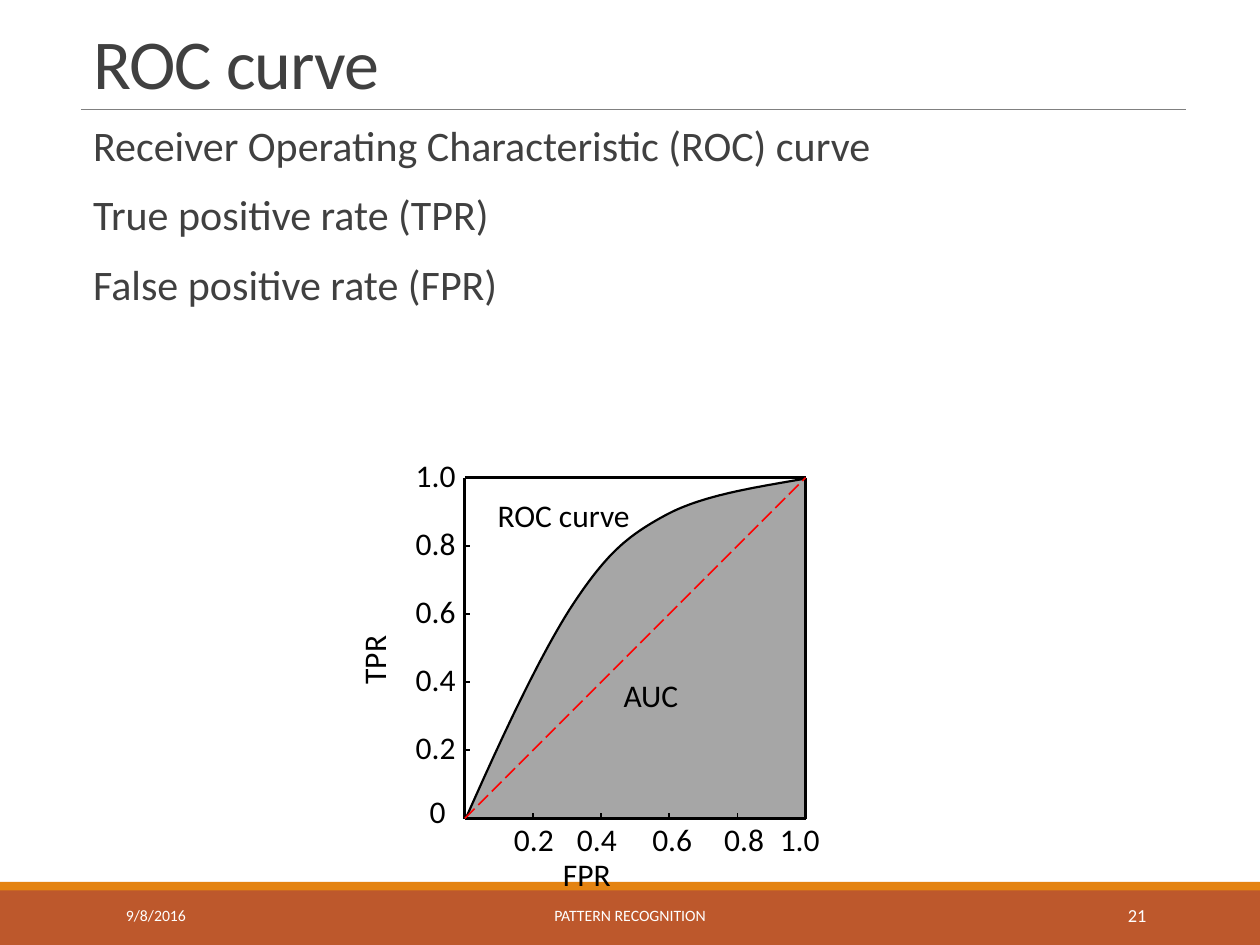
"""Build the ROC curve slide of a pattern recognition lecture."""
from dataclasses import dataclass

from lxml.etree import SubElement
from pptx import Presentation
from pptx.dml.color import RGBColor
from pptx.enum.dml import MSO_LINE
from pptx.enum.shapes import MSO_CONNECTOR, MSO_SHAPE
from pptx.enum.text import MSO_ANCHOR, PP_ALIGN
from pptx.oxml.ns import qn
from pptx.util import Cm, Pt


@dataclass(frozen=True)
class Theme:
    font: str = "Calibri"
    heading: str = "404040"
    ink: str = "000000"
    light: str = "FFFFFF"
    band: str = "BD582C"
    stripe: str = "E48312"
    rule: str = "808080"
    area: str = "A6A6A6"
    chance: str = "FF0000"
    title_size: float = 40
    body_size: float = 24
    label_size: float = 18
    number_size: float = 10.5
    footer_size: float = 9


class SlideBuilder:
    def __init__(self, slide, theme):
        self.slide = slide
        self.theme = theme

    def paint(self, shape, fill, line=None, width=1.0):
        shape.shadow.inherit = False
        shape.fill.solid()
        shape.fill.fore_color.rgb = RGBColor.from_string(fill)
        if line:
            shape.line.color.rgb = RGBColor.from_string(line)
            shape.line.width = Pt(width)
        else:
            shape.line.fill.background()

    def shape(self, kind, left, top, width, height, fill, rotation=0):
        shape = self.slide.shapes.add_shape(kind, Cm(left), Cm(top), Cm(width), Cm(height))
        shape.rotation = rotation
        self.paint(shape, fill)

    def line(self, start, end, color, width, dash=None):
        connector = self.slide.shapes.add_connector(
            MSO_CONNECTOR.STRAIGHT, *(Cm(value) for value in (*start, *end)))
        connector.line.color.rgb = RGBColor.from_string(color)
        connector.line.width = Pt(width)
        if dash:
            connector.line.dash_style = dash
        SubElement(connector._element.spPr, qn("a:effectLst"))

    def curve(self, start, segments, fill, line, width, steps=24):
        points = []
        current = start
        for segment in segments:
            controls = (current, *segment)
            for step in range(1, steps + 1):
                t = step / steps
                weights = ((1 - t) ** 3, 3 * t * (1 - t) ** 2, 3 * t ** 2 * (1 - t), t ** 3)
                points.append(tuple(
                    Cm(sum(weight * point[axis] for weight, point in zip(weights, controls)))
                    for axis in (0, 1)))
            current = segment[-1]
        builder = self.slide.shapes.build_freeform(Cm(start[0]), Cm(start[1]))
        builder.add_line_segments(points, close=False)
        self.paint(builder.convert_to_shape(), fill, line, width)

    def text(self, lines, left, top, width, height, size, color, align=PP_ALIGN.LEFT,
             anchor=MSO_ANCHOR.TOP, leading=1.0, before=0, after=0, tracking=0,
             rotation=0, wrap=True):
        box = self.slide.shapes.add_textbox(Cm(left), Cm(top), Cm(width), Cm(height))
        box.rotation = rotation
        frame = box.text_frame
        frame.word_wrap = wrap
        frame.vertical_anchor = anchor
        frame.text = lines
        for index, paragraph in enumerate(frame.paragraphs):
            paragraph.alignment = align
            paragraph.line_spacing = leading
            paragraph.space_before = Pt(before if index else 0)
            paragraph.space_after = Pt(after)
            for run in paragraph.runs:
                run.font.name = self.theme.font
                run.font.size = Pt(size)
                run.font.color.rgb = RGBColor.from_string(color)
                if tracking:
                    run._r.get_or_add_rPr().set("spc", str(int(tracking * 100)))

    def label(self, words, left, top, width=1.68, rotation=0, wrap=True):
        self.text(words, left, top, width, 1.02, self.theme.label_size, self.theme.ink,
                  rotation=rotation, wrap=wrap)


def add_frame(builder):
    theme = builder.theme
    builder.shape(MSO_SHAPE.RECTANGLE, 0, 17.94, 25.4, 1.11, theme.band)
    builder.shape(MSO_SHAPE.RECTANGLE, 0, 17.78, 25.4, 0.17, theme.stripe)
    builder.line((1.63, 2.21), (23.9, 2.21), theme.rule, 0.5)
    builder.text("ROC curve", 1.63, 0.33, 22.28, 1.88, theme.title_size, theme.heading,
                 anchor=MSO_ANCHOR.BOTTOM, leading=0.85, tracking=-0.5)
    builder.text("Receiver Operating Characteristic (ROC) curve\n"
                 "True positive rate (TPR)\n"
                 "False positive rate (FPR)",
                 1.63, 2.39, 22.28, 15.11, theme.body_size, theme.heading,
                 leading=0.9, before=12, after=2)
    footers = (
        ("9/8/2016", 2.29, 5.16, theme.footer_size, PP_ALIGN.LEFT),
        ("PATTERN RECOGNITION", 7.67, 10.06, theme.footer_size, PP_ALIGN.CENTER),
        ("21", 20.62, 2.74, theme.number_size, PP_ALIGN.RIGHT),
    )
    for words, left, width, size, align in footers:
        builder.text(words, left, 17.94, width, 1.02, size, theme.light, align,
                     MSO_ANCHOR.MIDDLE)


def add_roc_plot(builder):
    theme = builder.theme
    left, top, side, tick = 9.37, 9.63, 6.87, 0.11
    right, bottom = left + side, top + side

    builder.shape(MSO_SHAPE.RIGHT_TRIANGLE, left, top, side, side, theme.area, rotation=270)
    builder.curve((9.4, 16.48), (
        ((10.13, 14.83), (10.9, 13.18), (11.56, 12.17)),
        ((12.22, 11.18), (12.62, 10.82), (13.41, 10.39)),
        ((14.17, 9.98), (15.21, 9.83), (16.23, 9.65)),
    ), theme.area, theme.ink, 1.25)

    corners = ((left, bottom), (left, top), (right, top), (right, bottom))
    for start, end in zip(corners, corners[1:] + corners[:1]):
        builder.line(start, end, theme.ink, 1.5)

    label_lefts = (10.11, 11.38, 12.9, 14.35, 15.47)
    for index, label_left in enumerate(label_lefts, 1):
        offset = side * index / len(label_lefts)
        value = f"{index / len(label_lefts):.1f}"
        builder.line((left, bottom - offset), (left + tick, bottom - offset), theme.ink, 1)
        builder.line((left + offset, bottom), (left + offset, bottom - tick), theme.ink, 1)
        builder.label(value, 8.13, bottom - offset - 0.57)
        builder.label(value, label_left, 16.4)
    builder.label("0", 8.41, 15.85)

    builder.line((left, bottom), (right, top), theme.chance, 1, MSO_LINE.LONG_DASH)
    builder.label("TPR", 5.87, 11.87, 3.33, rotation=270)
    builder.label("FPR", 11.1, 17.12, 3.33)
    builder.label("ROC curve", 9.78, 9.88, 3.2, wrap=False)
    builder.label("AUC", 12.32, 13.51, 1.63, wrap=False)


def main():
    presentation = Presentation()
    presentation.slide_width = Cm(25.4)
    presentation.slide_height = Cm(19.05)
    slide = presentation.slides.add_slide(presentation.slide_layouts[6])
    builder = SlideBuilder(slide, Theme())
    add_frame(builder)
    add_roc_plot(builder)
    presentation.save("out.pptx")


if __name__ == "__main__":
    main()
